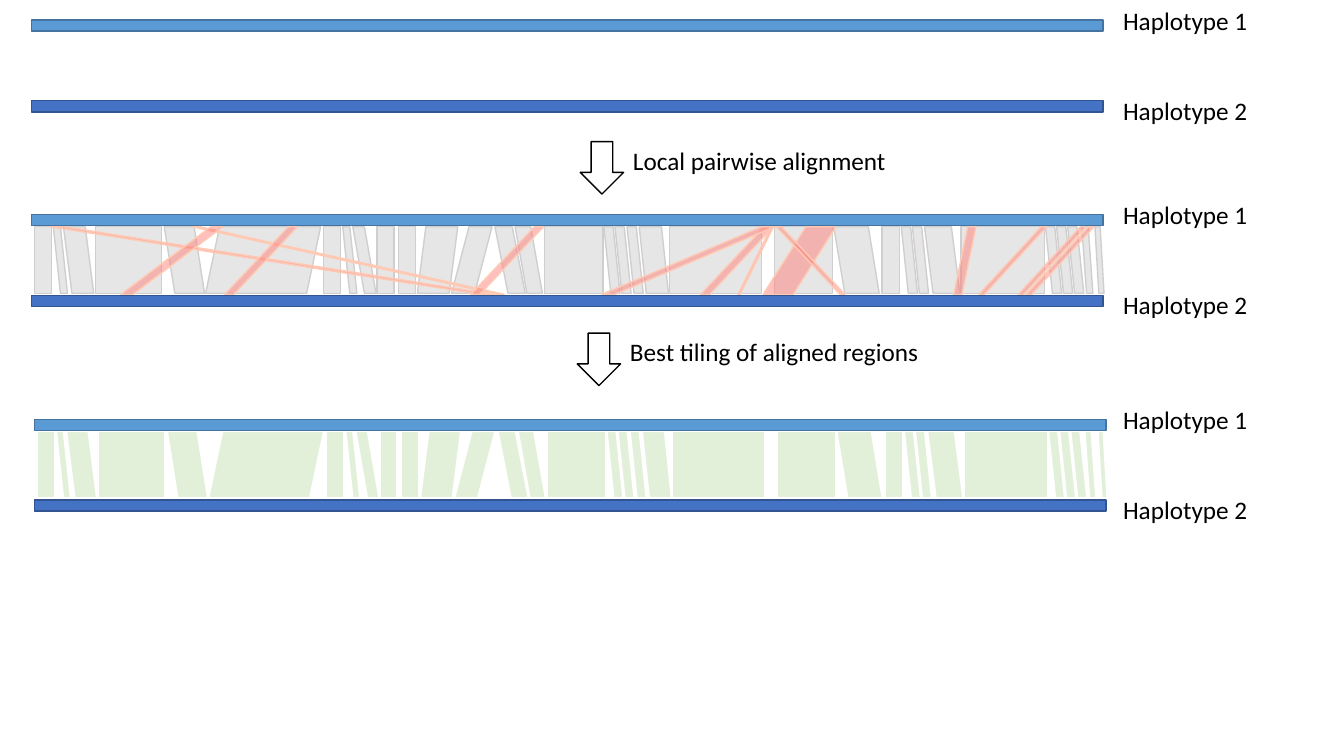
from lxml import etree
from pptx import Presentation
from pptx.dml.color import RGBColor
from pptx.enum.shapes import MSO_SHAPE as Preset
from pptx.enum.text import MSO_AUTO_SIZE as AutoSize
from pptx.oxml.ns import qn
from pptx.util import Inches, Pt

WHITE, BLACK = RGBColor(255, 255, 255), RGBColor(0, 0, 0)
GREY, GREY_EDGE = RGBColor(0xE7, 0xE6, 0xE6), RGBColor(0xD0, 0xCE, 0xCE)
GREEN = RGBColor(0xE2, 0xF0, 0xD9)
RED, RED_EDGE = RGBColor(0xFF, 0x7B, 0x75), RGBColor(0xFF, 0xCA, 0xB4)
SKY, SKY_EDGE = RGBColor(0x5B, 0x9B, 0xD5), RGBColor(0x43, 0x73, 0x9E)
BLUE, BLUE_EDGE = RGBColor(0x44, 0x72, 0xC4), RGBColor(0x32, 0x54, 0x91)

# Aligned regions: left, width, slant (0 is a rectangle, negative is mirrored)
REGIONS = [
    (0.34, 0.17, 0), (0.53, 0.14, -0.5), (0.63, 0.3, -0.28), (0.95, 0.65, 0),
    (1.63, 0.4, -0.26), (2.04, 1.14, 0.21), (3.21, 0.17, 0), (3.4, 0.14, -0.5),
    (3.5, 0.23, -0.5), (3.74, 0.17, 0), (3.95, 0.17, 0), (4.14, 0.4, 0.21),
    (4.48, 0.4, 0.43), (4.91, 0.3, -0.43), (5.11, 0.27, -0.43), (5.4, 0.58, 0),
    (5.99, 0.16, -0.43), (6.1, 0.16, -0.43), (6.22, 0.16, -0.43),
    (6.34, 0.29, -0.24), (6.64, 0.91, 0), (7.68, 0.58, 0), (8.27, 0.45, -0.24),
    (8.75, 0.17, 0), (8.94, 0.16, -0.43), (9.05, 0.16, -0.43),
    (9.17, 0.35, -0.24), (9.53, 0.83, 0), (10.37, 0.16, -0.43),
    (10.48, 0.16, -0.43), (10.59, 0.16, -0.43), (10.73, 0.11, -0.43),
    (10.86, 0.09, -0.43),
]
# Alignments that cross the others, same layout
CROSSINGS = [
    (0.5, 4.4, -6.36), (1.91, 3.09, -4.5), (2.23, 0.72, 0.94),
    (4.67, 0.72, 0.94), (7.57, 0.72, 0.63), (6.95, 0.72, 0.94),
    (5.97, 1.71, 2.36), (9.46, 0.22, 0.63), (9.71, 0.67, 0.92),
    (10.18, 0.67, 0.92), (10.1, 0.67, 0.92), (1.2, 1.01, 1.33),
    (7.32, 0.35, 0.94), (7.7, 0.68, -0.94),
]
# Haplotype pairs: bar left, top of first bar, tops of the two labels
PAIRS = [(0.31, 0.2, 0, 0.9), (0.31, 2.13, 1.93, 2.82), (0.34, 4.16, 3.96, 4.85)]
BARS = [("Haplotype 1", SKY, SKY_EDGE), ("Haplotype 2", BLUE, BLUE_EDGE)]
# Steps: arrow left and top, text, text width
STEPS = [(5.71, 1.45, "Local pairwise alignment", 2.74),
         (5.68, 3.35, "Best tiling of aligned regions", 3.1)]
BAR_GAP, LABEL_LEFT = 0.8, 11.04

deck = Presentation()
deck.slide_width, deck.slide_height = Inches(13.33), Inches(7.5)
page = deck.slides.add_slide(deck.slide_layouts[6])


def add_part(preset, left, top, width, height, fill, edge):
    part = page.shapes.add_shape(
        preset, Inches(left), Inches(top), Inches(width), Inches(height))
    part.shadow.inherit = False
    part.fill.solid()
    part.fill.fore_color.rgb = fill
    part.line.color.rgb = edge
    part.line.width = Pt(1)
    return part


def add_label(text, left, top, width):
    box = page.shapes.add_textbox(
        Inches(left), Inches(top), Inches(width), Inches(0.4))
    frame = box.text_frame
    frame.word_wrap = False
    frame.auto_size = AutoSize.SHAPE_TO_FIT_TEXT
    para = frame.paragraphs[0]
    para.text = text
    para.font.name, para.font.size = "Calibri", Pt(18)
    para.font.color.rgb = BLACK


def add_bands(bands, shift, top, height, fill, edge, opacity=100):
    for left, width, slant in bands:
        preset = Preset.PARALLELOGRAM if slant else Preset.RECTANGLE
        band = add_part(preset, left + shift, top, width, height, fill, edge)
        if slant:
            band.adjustments[0] = abs(slant)
        if slant < 0:
            band._element.spPr.get_or_add_xfrm().set("flipH", "1")
        if opacity < 100:
            color = band._element.spPr.find(qn("a:solidFill"))[0]
            etree.SubElement(color, qn("a:alpha")).set("val", str(opacity * 1000))


# Regions between the bars
add_bands(REGIONS, 0, 2.25, 0.66, GREY, GREY_EDGE)
add_bands(REGIONS, 0.03, 4.28, 0.66, GREEN, WHITE)
add_bands(CROSSINGS, 0, 2.25, 0.67, RED, RED_EDGE, opacity=48)

# Haplotype bars and their labels
for bar_left, bar_top, *label_tops in PAIRS:
    for index, (name, fill, edge) in enumerate(BARS):
        add_part(Preset.RECTANGLE, bar_left, bar_top + index * BAR_GAP,
                 10.63, 0.11, fill, edge)
        add_label(name, LABEL_LEFT, label_tops[index], 1.45)

# Step arrows and their captions
for left, top, caption, width in STEPS:
    arrow = add_part(Preset.RIGHT_ARROW, left, top, 0.52, 0.43, WHITE, BLACK)
    arrow.rotation = 90
    add_label(caption, left + 0.47, top - 0.06, width)

deck.save("out.pptx")
